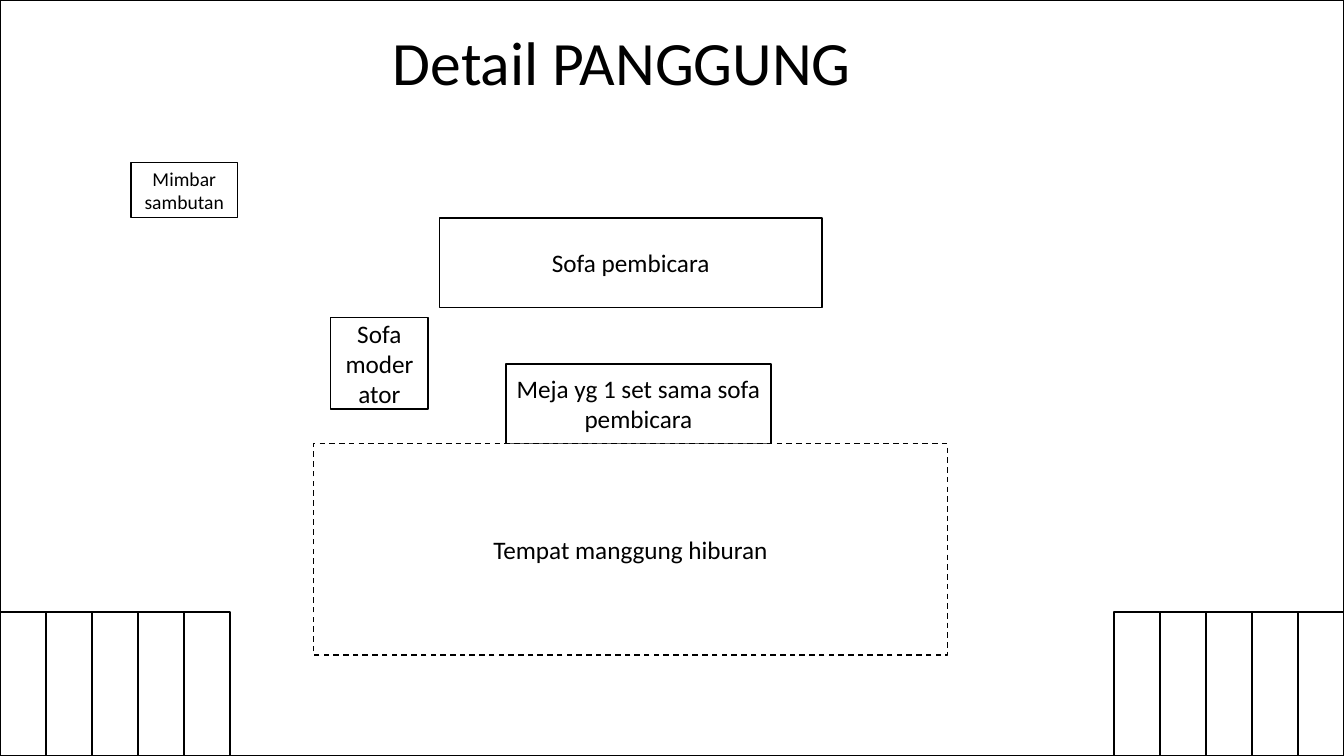
from dataclasses import dataclass

from pptx import Presentation, util as u
from pptx.dml.color import RGBColor
from pptx.enum import dml, shapes, text


@dataclass(frozen=True)
class Theme:
    ink: RGBColor = RGBColor(0, 0, 0)
    paper: RGBColor = RGBColor(255, 255, 255)
    font: str = "Calibri"
    title: int = 44
    body: int = 18
    small: int = 14
    line: int = 1


THEME = Theme()
WIDTH, HEIGHT = 33.87, 19.05
STEPS, STEP_WIDTH, STEP_HEIGHT = 5, 1.16, 3.63

FURNITURE = [
    ("Mimbar sambutan", (3.3, 4.09, 2.69, 1.4), THEME.small, False),
    ("Sofa pembicara", (11.07, 5.49, 9.65, 2.26), THEME.body, False),
    ("Sofa moderator", (8.33, 8, 2.46, 2.31), THEME.body, False),
    ("Meja yg 1 set sama sofa pembicara", (12.75, 9.17, 6.68, 2.01), THEME.body, False),
    ("Tempat manggung hiburan", (7.9, 11.18, 15.98, 5.33), THEME.body, True),
]


def apply_format(target, values):
    for name, value in values.items():
        setattr(target, name, value)


def write(box, words, size, align, anchor):
    frame = box.text_frame
    apply_format(frame, {"word_wrap": True, "vertical_anchor": anchor})
    para = frame.paragraphs[0]
    para.alignment = align
    span = para.add_run()
    span.text = words
    apply_format(span.font, {"name": THEME.font, "size": u.Pt(size)})
    span.font.color.rgb = THEME.ink


def add_box(page, place, dashed=False):
    box = page.shapes.add_shape(
        shapes.MSO_SHAPE.RECTANGLE, *(u.Cm(length) for length in place))
    box.shadow.inherit = False
    box.fill.solid()
    box.fill.fore_color.rgb = THEME.paper
    box.line.color.rgb = THEME.ink
    box.line.width = u.Pt(THEME.line)
    if dashed:
        box.line.dash_style = dml.MSO_LINE.DASH
    return box


def add_furniture(page, words, place, size, dashed):
    box = add_box(page, place, dashed)
    write(box, words, size, text.PP_ALIGN.CENTER, text.MSO_ANCHOR.MIDDLE)


def add_stairs(page, left):
    for step in range(STEPS):
        add_box(page, (left + step * STEP_WIDTH, HEIGHT - STEP_HEIGHT,
                       STEP_WIDTH, STEP_HEIGHT))


def add_title(page, words, place):
    box = page.shapes.add_textbox(*(u.Cm(length) for length in place))
    write(box, words, THEME.title, text.PP_ALIGN.LEFT, text.MSO_ANCHOR.TOP)
    box.text_frame.auto_size = text.MSO_AUTO_SIZE.SHAPE_TO_FIT_TEXT


def main():
    deck = Presentation()
    apply_format(deck, {"slide_width": u.Cm(WIDTH), "slide_height": u.Cm(HEIGHT)})
    page = deck.slides.add_slide(deck.slide_layouts[6])
    add_box(page, (0, 0, WIDTH, HEIGHT))
    for left in (0, WIDTH - STEPS * STEP_WIDTH):
        add_stairs(page, left)
    for item in FURNITURE:
        add_furniture(page, *item)
    add_title(page, "Detail PANGGUNG", (9.65, 0.48, 12.93, 2.13))
    deck.save("out.pptx")


main()
